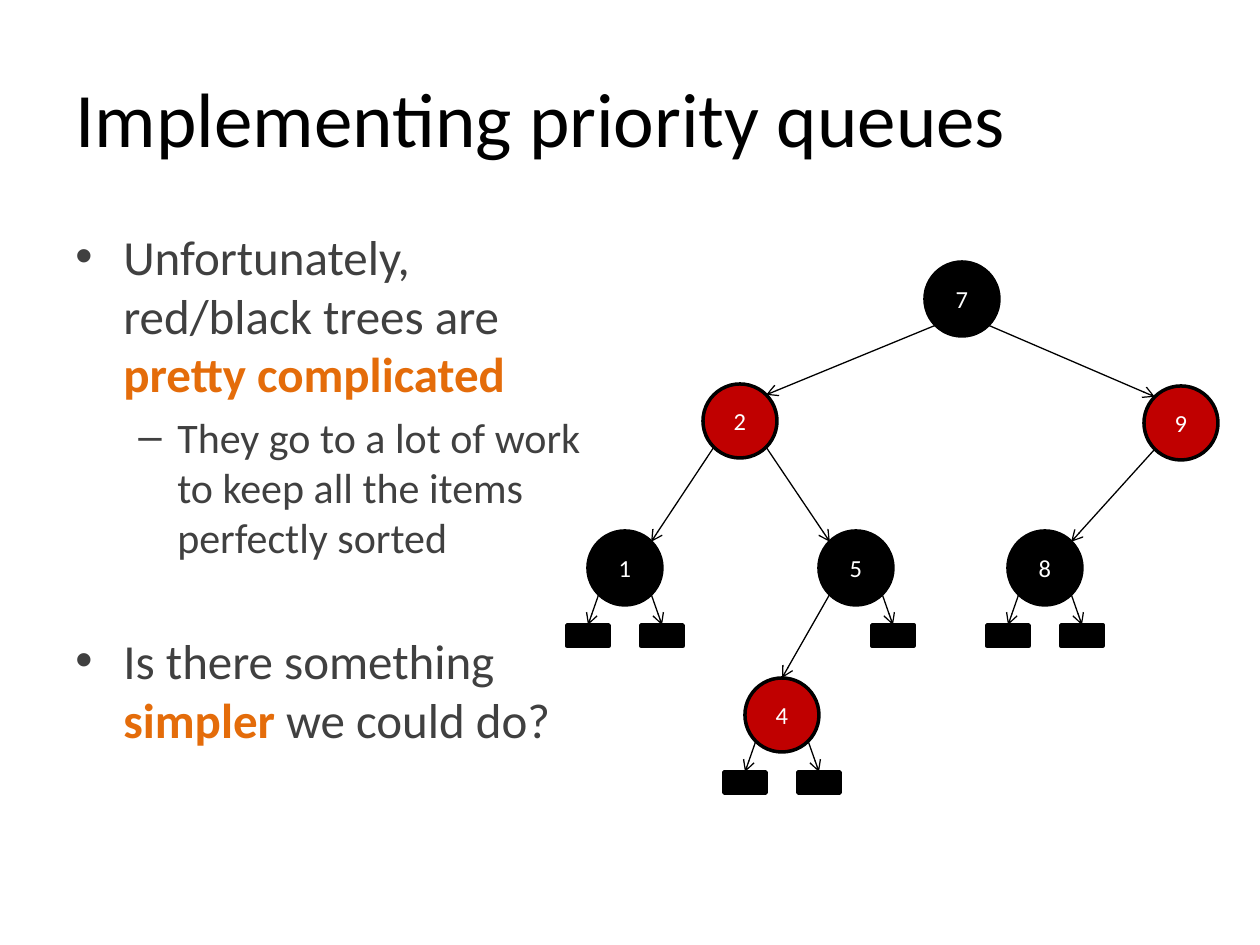
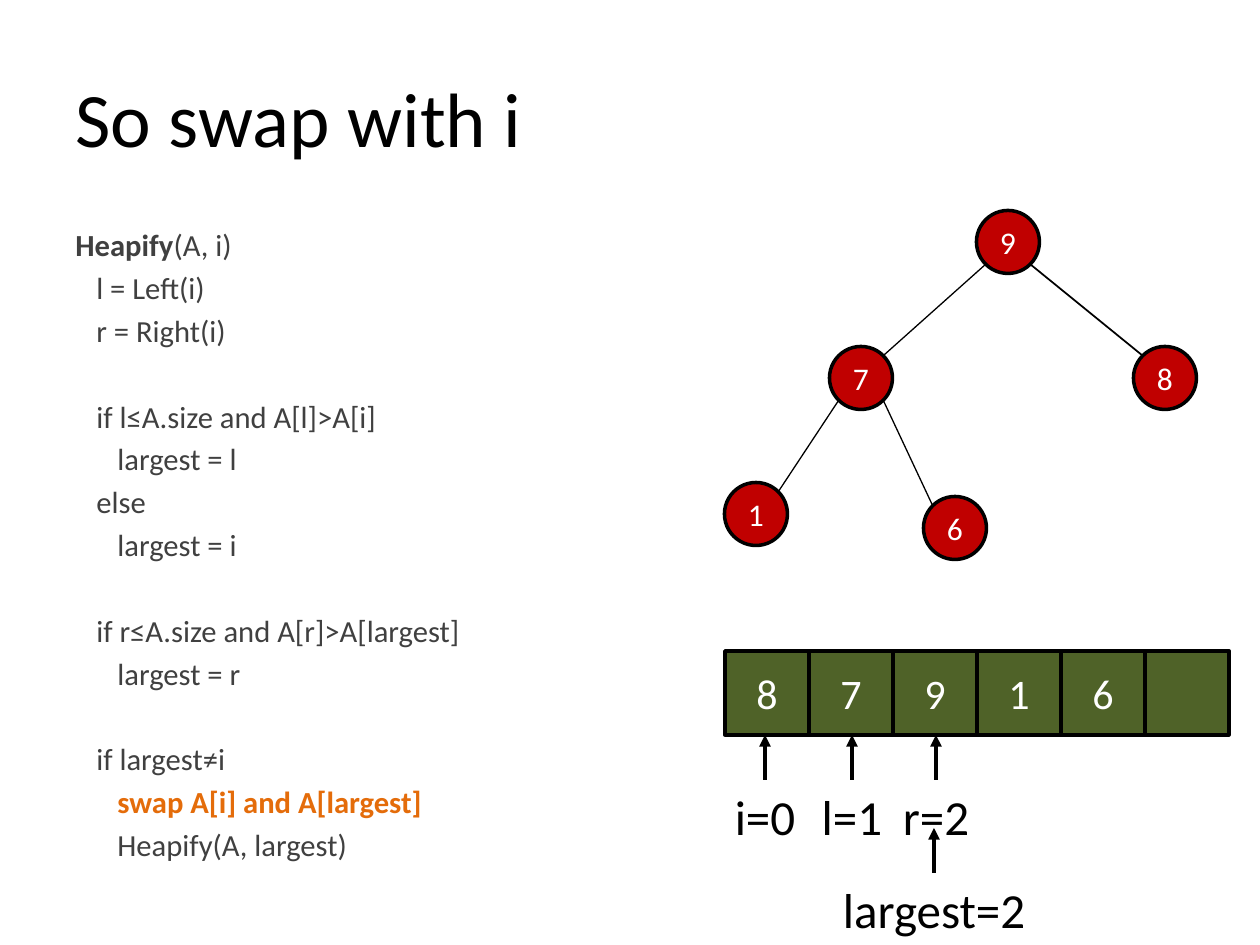
from dataclasses import dataclass
from math import sqrt

from lxml.etree import SubElement as Sub
from pptx import Presentation
from pptx.dml.color import RGBColor as Rgb
from pptx.enum.shapes import MSO_CONNECTOR as Con, MSO_SHAPE as Geo
from pptx.enum.text import MSO_ANCHOR as Anchor, PP_ALIGN as Align
from pptx.oxml.ns import qn
from pptx.util import Pt


@dataclass(frozen=True)
class Theme:
    font: str = "Calibri"
    black: str = "000000"
    white: str = "FFFFFF"
    gray: str = "404040"
    orange: str = "E46C0A"
    red: str = "C00000"
    green: str = "4F6228"
    head: float = 44
    main: float = 28
    sub: float = 24
    code: float = 17.5
    node: float = 18
    small: float = 14
    rim: float = 2
    thin: float = 0.75
    bold: float = 2.25


T = Theme()
LEAF = "leaf"

# Content: a paragraph is (level, space before, runs); a run is (text, style)
POINTS = [
    (0, 0, [("Unfortunately, red/black trees are ", ""), ("pretty complicated", "hot")]),
    (1, 4.8, [("They go to a lot of work to keep all the items perfectly sorted", "")]),
    (0, 39, [("Is there something ", ""), ("simpler ", "hot"), ("we could do?", "")]),
]
LINE, GAP = 3.5, 28
CODE = [
    (0, 0, [("Heapify", "bold"), ("(A, i)", "")]),
    (1, LINE, [("l = Left(i)", "")]),
    (1, LINE, [("r = Right(i)", "")]),
    (1, GAP, [("if l≤A.size and A[l]>A[i]", "")]),
    (2, LINE, [("largest = l", "")]),
    (1, LINE, [("else", "")]),
    (2, LINE, [("largest = i", "")]),
    (1, GAP, [("if r≤A.size and A[r]>A[largest]", "")]),
    (2, LINE, [("largest = r", "")]),
    (1, GAP, [("if largest≠i", "")]),
    (2, LINE, [("swap A[i] and A[largest]", "hot")]),
    (2, LINE, [("Heapify(A, largest)", "")]),
]
# Level styles: size, left margin, first-line indent, bullet
LIST = [(T.main, 48, -48, "•"), (T.sub, 102, -39, "–")]
STEPS = [(T.code, 21 * n, 0, None) for n in range(3)]

# Trees: key -> centre x, centre y, fill, left child, right child
SEARCH = {
    7: (962, 299, T.black, 2, 9),
    2: (740, 421, T.red, 1, 5),
    9: (1181, 423, T.red, 8, None),
    1: (625, 568, T.black, LEAF, LEAF),
    5: (856, 568, T.black, 4, LEAF),
    8: (1045, 568, T.black, LEAF, LEAF),
    4: (782, 715, T.red, LEAF, LEAF),
}
HEAP = {
    9: (1008, 242, T.red, 7, 8),
    7: (861, 378, T.red, 1, 6),
    8: (1165, 378, T.red, None, None),
    1: (756, 514, T.red, None, None),
    6: (955, 528, T.red, None, None),
}
CELLS = ["8", "7", "9", "1", "6", ""]
# Pointers: text, centre x, top, width
MARKS = [("i=0", 765, 780, 87), ("l=1", 852, 780, 90),
         ("r=2", 936, 780, 92), ("largest=2", 934, 873, 209)]


# Drawing helpers
def px(n):
    return round(n * 914400 / 126)


def box(*at):
    return [px(n) for n in at]


def add_run(para, text, size, color, bold=False):
    run = para.add_run()
    run.text = text
    font = run.font
    font.name, font.size, font.bold = T.font, Pt(size), bold
    font.color.rgb = Rgb.from_string(color)


def add_shape(slide, geo, at, fill, text="", size=T.small):
    shape = slide.shapes.add_shape(geo, *box(*at))
    shape.shadow.inherit = False
    shape.fill.solid()
    shape.fill.fore_color.rgb = Rgb.from_string(fill)
    shape.line.color.rgb = Rgb.from_string(T.black)
    shape.line.width = Pt(T.rim)
    if text:
        frame = shape.text_frame
        frame.vertical_anchor = Anchor.MIDDLE
        para = frame.paragraphs[0]
        para.alignment = Align.CENTER
        add_run(para, text, size, T.white)


def add_line(slide, start, end, width, tip=None):
    line = slide.shapes.add_connector(Con.STRAIGHT, *box(*start, *end))
    line.line.color.rgb = Rgb.from_string(T.black)
    line.line.width = Pt(width)
    props = line.element.spPr
    if tip:
        Sub(props.find(qn("a:ln")), qn("a:tailEnd"), type=tip)
    Sub(props, qn("a:effectLst"))


def add_body(slide, at, paras, levels):
    frame = slide.shapes.add_textbox(*box(*at)).text_frame
    frame.word_wrap = True
    for i, (level, space, runs) in enumerate(paras):
        para = frame.add_paragraph() if i else frame.paragraphs[0]
        size, left, first, mark = levels[level]
        para.space_before = Pt(space)
        props = para._p.get_or_add_pPr()
        props.set("marL", str(px(left)))
        props.set("indent", str(px(first)))
        if mark:
            Sub(props, qn("a:buFont"), typeface="Arial")
            Sub(props, qn("a:buChar"), char=mark)
        for text, style in runs:
            color = T.orange if style == "hot" else T.gray
            add_run(para, text, size, color, bool(style))


def add_tree(slide, tree, size, type_size, tip=None, tops=(), wide=()):
    off = size / 2 / sqrt(2)
    for x, y, _, *kids in tree.values():
        for side, kid in zip((-1, 1), kids):
            if kid is None:
                continue
            if kid == LEAF:
                end = x + side * 37, y + 57
                add_shape(slide, Geo.RECTANGLE, (end[0] - 21, end[1], 42, 21), T.black)
            else:
                cx, cy = tree[kid][:2]
                end = (cx, cy - size / 2) if kid in tops else (cx - side * off, cy - off)
            add_line(slide, (x + side * off, y + off), end,
                     1 if kid in wide else T.thin, tip)
    for key, (x, y, fill, *_) in tree.items():
        at = x - size / 2, y - size / 2, size, size
        add_shape(slide, Geo.OVAL, at, fill, str(key), type_size)


def add_mark(slide, text, x, top, width):
    label = slide.shapes.add_textbox(*box(x - width / 2, top, width, 72))
    label.text_frame.word_wrap = False
    para = label.text_frame.paragraphs[0]
    para.alignment = Align.CENTER
    add_run(para, text, T.main, T.black)
    add_line(slide, (x, top), (x, top - 45), T.bold, "triangle")


deck = Presentation()
deck.slide_width, deck.slide_height = box(1260, 945)


def new_slide(text):
    slide = deck.slides.add_slide(deck.slide_layouts[5])
    title = slide.shapes.title
    title.left, title.top, title.width, title.height = box(63, 38, 1134, 157)
    title.text_frame.vertical_anchor = Anchor.MIDDLE
    para = title.text_frame.paragraphs[0]
    para.alignment = Align.LEFT
    add_run(para, text, T.head, T.black)
    return slide


# Slide 1: red/black tree
slide = new_slide("Implementing priority queues")
add_body(slide, (63, 220, 557, 624), POINTS, LIST)
add_tree(slide, SEARCH, 74, T.small, tip="arrow", tops={4})

# Slide 2: heap, its array and the pointers
slide = new_slide("So swap with i")
add_body(slide, (63, 220, 620, 577), CODE, STEPS)
add_tree(slide, HEAP, 63, T.node, wide={8})
for i, text in enumerate(CELLS):
    add_shape(slide, Geo.RECTANGLE, (725 + 84 * i, 651, 84, 84), T.green, text, T.sub)
for mark in MARKS:
    add_mark(slide, *mark)

deck.save("out.pptx")
